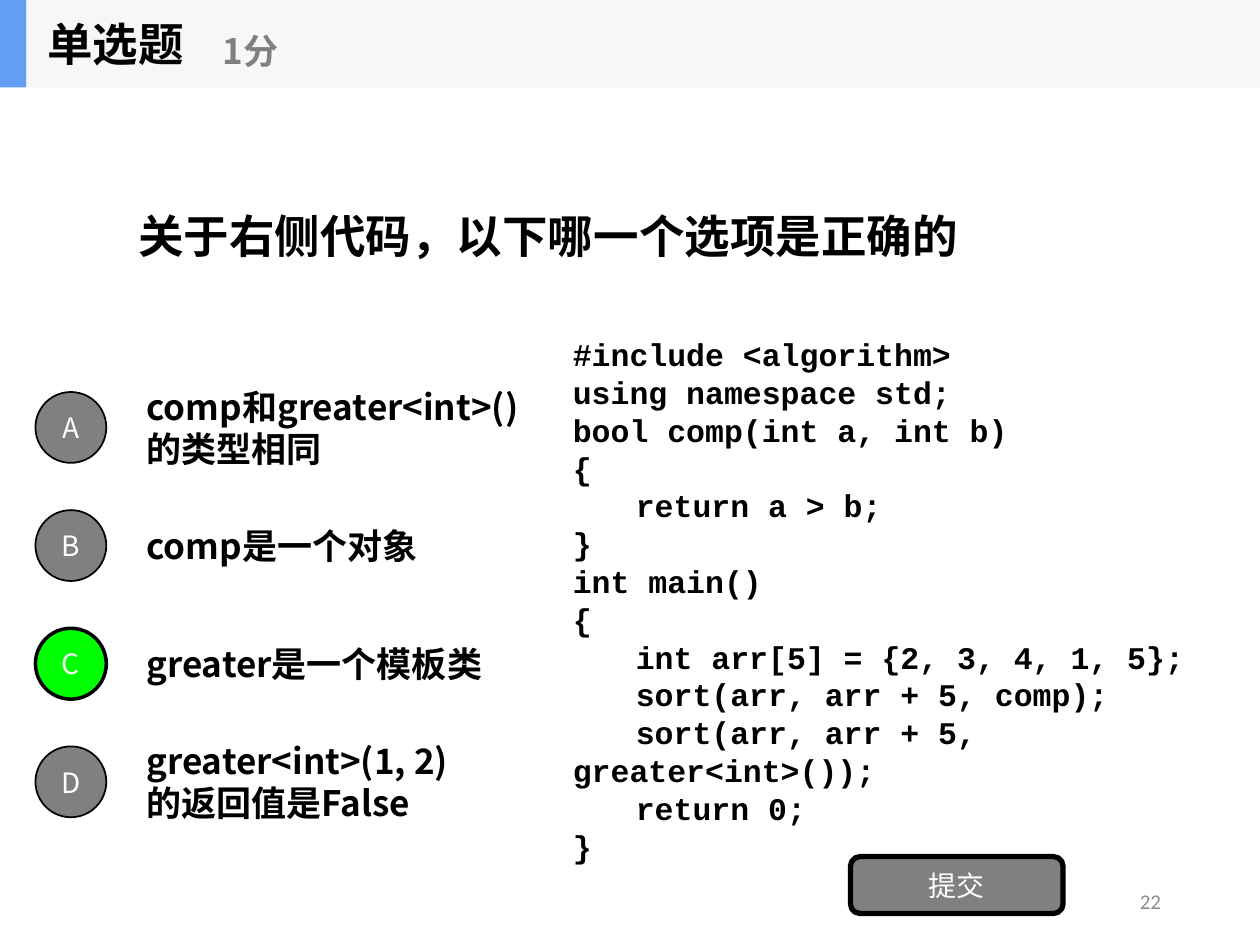
"""Build a single-choice quiz slide about a C++ sorting program."""
from lxml.etree import SubElement
from pptx import Presentation
from pptx.dml.color import RGBColor
from pptx.enum.shapes import MSO_SHAPE
from pptx.enum.text import MSO_ANCHOR, PP_ALIGN
from pptx.oxml.ns import qn
from pptx.util import Pt

COLORS = {
    "ink": "000000", "paper": "FFFFFF", "grey": "808080", "number": "8C8C8C",
    "correct": "00FF00", "band": "F6F7F8", "accent": "639EF4",
}
SANS = "Noto Sans CJK SC"
LEADING = 1.2
OPTION_PITCH = 67.5
OPTIONS = {
    "A": ["comp和greater<int>()", "的类型相同"],
    "B": ["comp是一个对象"],
    "C": ["greater是一个模板类"],
    "D": ["greater<int>(1, 2)", "的返回值是False"],
}
CORRECT = "C"
CODE = [
    "#include <algorithm>",
    "using namespace std;",
    "bool comp(int a, int b)",
    "{",
    "\treturn a > b;",
    "}",
    "int main()",
    "{",
    "\tint arr[5] = {2, 3, 4, 1, 5};",
    "\tsort(arr, arr + 5, comp);",
    "\tsort(arr, arr + 5, greater<int>());",
    "\treturn 0;",
    "}",
]


def color(name):
    return RGBColor.from_string(COLORS[name])


def apply(target, formats):
    for attribute, value in formats.items():
        setattr(target, attribute, value)


def write(frame, lines, size, ink="ink", bold=True, font=SANS,
          align=PP_ALIGN.LEFT, anchor=MSO_ANCHOR.MIDDLE):
    apply(frame, {"word_wrap": True, "vertical_anchor": anchor})
    for index, line in enumerate(lines):
        paragraph = frame.add_paragraph() if index else frame.paragraphs[0]
        apply(paragraph, {"alignment": align, "line_spacing": Pt(LEADING * size)})
        run = paragraph.add_run()
        run.text = line
        apply(run.font, {"name": font, "size": Pt(size), "bold": bold})
        run.font.color.rgb = color(ink)
        SubElement(run.font._element, qn("a:ea")).set("typeface", font)


def add_text(slide, box, lines, size, **formats):
    label = slide.shapes.add_textbox(*map(Pt, box))
    write(label.text_frame, lines, size, **formats)


def add_block(slide, kind, box, fill, border=0):
    block = slide.shapes.add_shape(kind, *map(Pt, box))
    block.shadow.inherit = False
    block.fill.solid()
    block.fill.fore_color.rgb = color(fill)
    if border:
        block.line.color.rgb = color("ink")
        block.line.width = Pt(border)
    else:
        block.line.fill.background()
    return block


def add_button(slide, kind, box, caption, fill, border):
    button = add_block(slide, kind, box, fill, border)
    apply(button.text_frame, dict.fromkeys(
        ("margin_left", "margin_right", "margin_top", "margin_bottom"), 0))
    write(button.text_frame, [caption], 16, ink="paper", bold=False,
          align=PP_ALIGN.CENTER)


def add_option(slide, row, letter, lines):
    shift = row * OPTION_PITCH
    chosen = letter == CORRECT
    add_text(slide, (76.5, 219 + shift, 342, 50.5), lines, 20)
    add_button(slide, MSO_SHAPE.OVAL, (20.25, 224 + shift, 40.5, 40.5), letter,
               "correct" if chosen else "grey", 2 if chosen else 1)


def add_header(slide):
    add_block(slide, MSO_SHAPE.RECTANGLE, (0, 0, 720, 50), "band")
    add_block(slide, MSO_SHAPE.RECTANGLE, (0, 0, 15, 50), "accent")
    add_text(slide, (20, 0, 150, 50), ["单选题"], 26)
    add_text(slide, (120, 8.5, 180, 40.5), ["1分"], 20, ink="grey")


def main():
    deck = Presentation()
    apply(deck, {"slide_width": Pt(720), "slide_height": Pt(540)})
    slide = deck.slides.add_slide(deck.slide_layouts[6])
    add_text(slide, (508.5, 500.5, 162, 28.75), ["22"], 12, ink="number",
             bold=False, font="Calibri", align=PP_ALIGN.RIGHT)
    add_text(slide, (72, 50, 576, 168.5),
             ["关于右侧代码，以下哪一个选项是正确的"], 26)
    for row, (letter, lines) in enumerate(OPTIONS.items()):
        add_option(slide, row, letter, lines)
    add_button(slide, MSO_SHAPE.ROUNDED_RECTANGLE, (486, 489.5, 121.5, 32.5),
               "提交", "grey", 3)
    add_text(slide, (320.25, 188, 399.75, 312.5), CODE, 18,
             font="Courier New", anchor=MSO_ANCHOR.TOP)
    add_header(slide)
    deck.save("out.pptx")


main()
